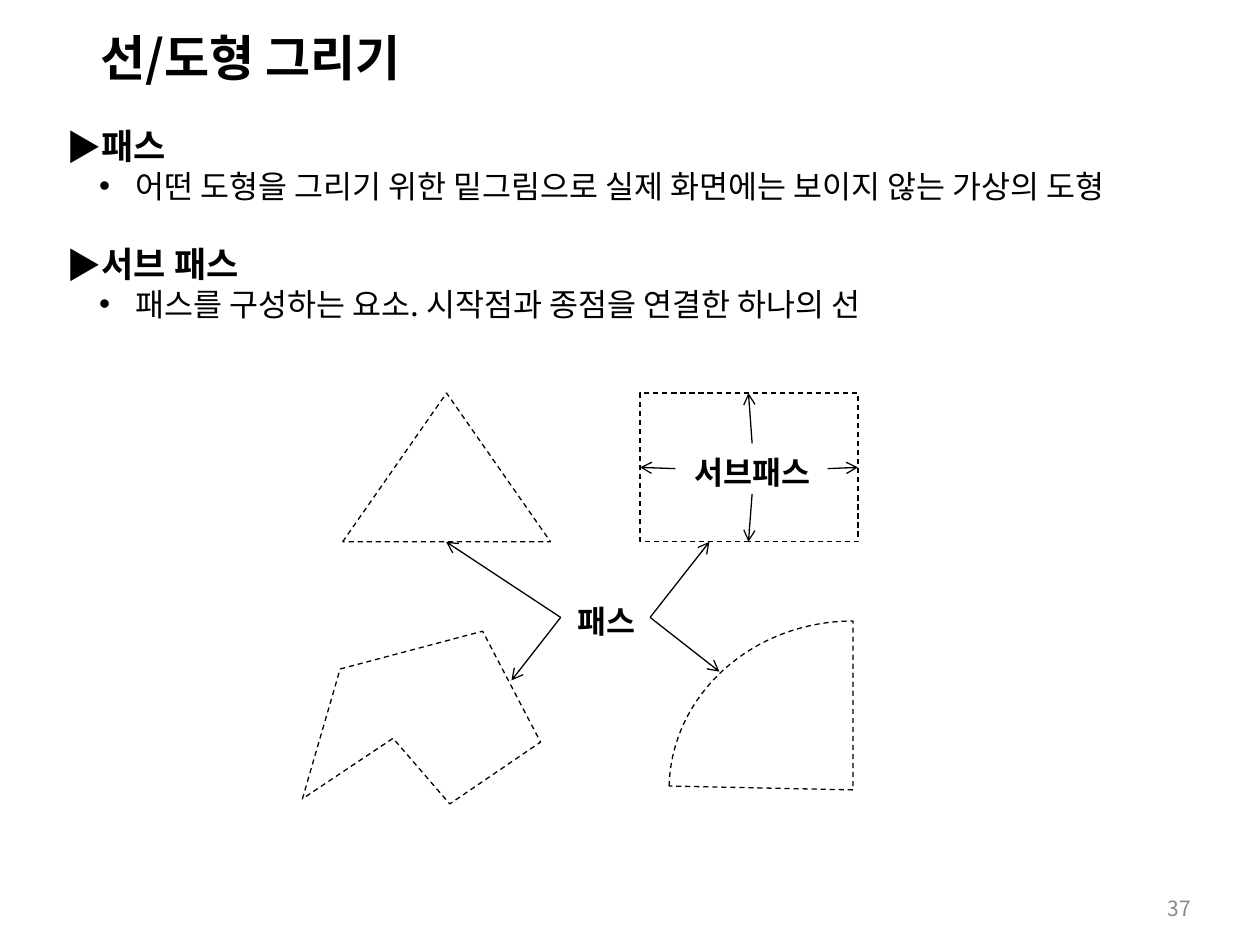
import math
from lxml import etree
from pptx import Presentation
from pptx import util as u
from pptx.dml import color
from pptx.enum import dml, shapes, text
from pptx.oxml import ns

FONT = "Noto Sans CJK KR"
BLACK = "000000"
LEFT, CENTER, RIGHT = text.PP_ALIGN.LEFT, text.PP_ALIGN.CENTER, text.PP_ALIGN.RIGHT


def rgb(value):
    return color.RGBColor.from_string(value)


def apply(target, values):
    for name, value in values.items():
        setattr(target, name, value)


def child(parent, tag, **attributes):
    return etree.SubElement(parent, ns.qn(tag), attributes)


class SlideBuilder:
    line_width = u.Pt(0.75)
    bullets = {
        "heading": {"char": "▶", "font": FONT, "margin": 20, "indent": -20},
        "item": {"char": "•", "font": "Arial", "margin": 39.5, "indent": -21},
    }

    def __init__(self, presentation):
        self.slide = presentation.slides.add_slide(presentation.slide_layouts[6])

    def style_line(self, shape, **values):
        shape.line.color.rgb = rgb(BLACK)
        apply(shape.line, {"width": self.line_width, **values})

    def text_frame(self, left, top, width, height, **values):
        shape = self.slide.shapes.add_textbox(*map(u.Pt, (left, top, width, height)))
        apply(shape.text_frame, {"word_wrap": True, **values})
        return shape.text_frame

    def fill_paragraph(self, paragraph, words, size, bold=False, ink=BLACK,
                       align=LEFT, leading=1.3, before=0):
        apply(paragraph, {"alignment": align, "space_before": u.Pt(before),
                          "line_spacing": u.Pt(size * leading)})
        run = paragraph.add_run()
        run.text = words
        apply(run.font, {"name": FONT, "size": u.Pt(size), "bold": bold})
        run.font.color.rgb = rgb(ink)
        child(run.font._element, "a:ea", typeface=FONT)

    def label(self, box, words, size, wrap=False, anchor=text.MSO_ANCHOR.TOP, **style):
        frame = self.text_frame(*box, word_wrap=wrap, vertical_anchor=anchor)
        self.fill_paragraph(frame.paragraphs[0], words, size, **style)

    def bullet(self, paragraph, kind):
        bullet = self.bullets[kind]
        properties = paragraph._p.get_or_add_pPr()
        properties.set("marL", str(u.Pt(bullet["margin"])))
        properties.set("indent", str(u.Pt(bullet["indent"])))
        child(properties, "a:buFont", typeface=bullet["font"])
        child(properties, "a:buChar", char=bullet["char"])

    def definitions(self, box, entries):
        frame = self.text_frame(*box)
        for index, (term, meaning) in enumerate(entries):
            paragraph = frame.add_paragraph() if index else frame.paragraphs[0]
            self.bullet(paragraph, "heading")
            self.fill_paragraph(paragraph, term, 20, bold=True, before=19.4 if index else 0)
            paragraph = frame.add_paragraph()
            self.bullet(paragraph, "item")
            self.fill_paragraph(paragraph, meaning, 18, leading=1.22)

    def outline(self, shape):
        shape.shadow.inherit = False
        shape.fill.background()
        self.style_line(shape, dash_style=dml.MSO_LINE.DASH)

    def preset(self, kind, *box):
        self.outline(self.slide.shapes.add_shape(kind, *map(u.Pt, box)))

    def polygon(self, points):
        start, *rest = [(u.Pt(x), u.Pt(y)) for x, y in points]
        builder = self.slide.shapes.build_freeform(*start, scale=1.0)
        builder.add_line_segments(rest, close=True)
        self.outline(builder.convert_to_shape())

    def arrow(self, start, end):
        connector = self.slide.shapes.add_connector(
            shapes.MSO_CONNECTOR.STRAIGHT, *map(u.Pt, (*start, *end)))
        self.style_line(connector)
        properties = connector._element.spPr
        child(properties.get_or_add_ln(), "a:tailEnd", type="arrow")
        child(properties, "a:effectLst")


def quarter_disc(center_x, center_y, radius_x, radius_y, steps=32):
    angles = [math.radians(1.3 + (90 - 1.3) * step / steps) for step in range(steps + 1)]
    arc = [(center_x - radius_x * math.cos(a), center_y - radius_y * math.sin(a))
           for a in angles]
    return arc + [(center_x, center_y)]


def main():
    presentation = Presentation()
    apply(presentation, {"slide_width": u.Pt(720), "slide_height": u.Pt(540)})
    builder = SlideBuilder(presentation)

    builder.label((50.4, 9.4, 201.6, 41), "선/도형 그리기", 28, bold=True)
    builder.definitions((31, 65.5, 658, 123), [
        ("패스", "어떤 도형을 그리기 위한 밑그림으로 실제 화면에는 보이지 않는 가상의 도형"),
        ("서브 패스", "패스를 구성하는 요소. 시작점과 종점을 연결한 하나의 선"),
    ])

    builder.preset(shapes.MSO_SHAPE.ISOSCELES_TRIANGLE, 195.8, 224.6, 118.8, 85)
    builder.preset(shapes.MSO_SHAPE.RECTANGLE, 365.8, 224.6, 124.5, 85)
    builder.polygon([(194.4, 382.3), (275.8, 360.7), (308.9, 424.1),
                     (257, 459.4), (224.6, 421.9), (172.8, 456.5)])
    builder.polygon(quarter_disc(487.4, 451.4, 105.1, 96.5))

    label_style = {"size": 18, "bold": True, "align": CENTER}
    builder.label((389.5, 253.4, 80.6, 28.8), "서브패스", **label_style)
    builder.label((322.6, 338.4, 47.5, 28.8), "패스", **label_style)

    subpath_arrows = [((429.8, 253.4), (427.7, 224.6)), ((473, 267.8), (490.3, 267.1)),
                      ((385.9, 267.8), (365.8, 267.1)), ((429.8, 282.2), (427.7, 309.6))]
    for start, end in subpath_arrows:
        builder.arrow(start, end)
    path_targets = {(320.4, 352.8): [(254.9, 309.6), (292.3, 388.8)],
                    (371.5, 352.8): [(411.1, 383.8), (405.4, 309.6)]}
    for start, ends in path_targets.items():
        for end in ends:
            builder.arrow(start, end)

    builder.label((519.8, 504, 167.8, 28.8), "37", 12, wrap=True,
                  anchor=text.MSO_ANCHOR.MIDDLE, ink="898989", align=RIGHT)
    presentation.save("out.pptx")


if __name__ == "__main__":
    main()
